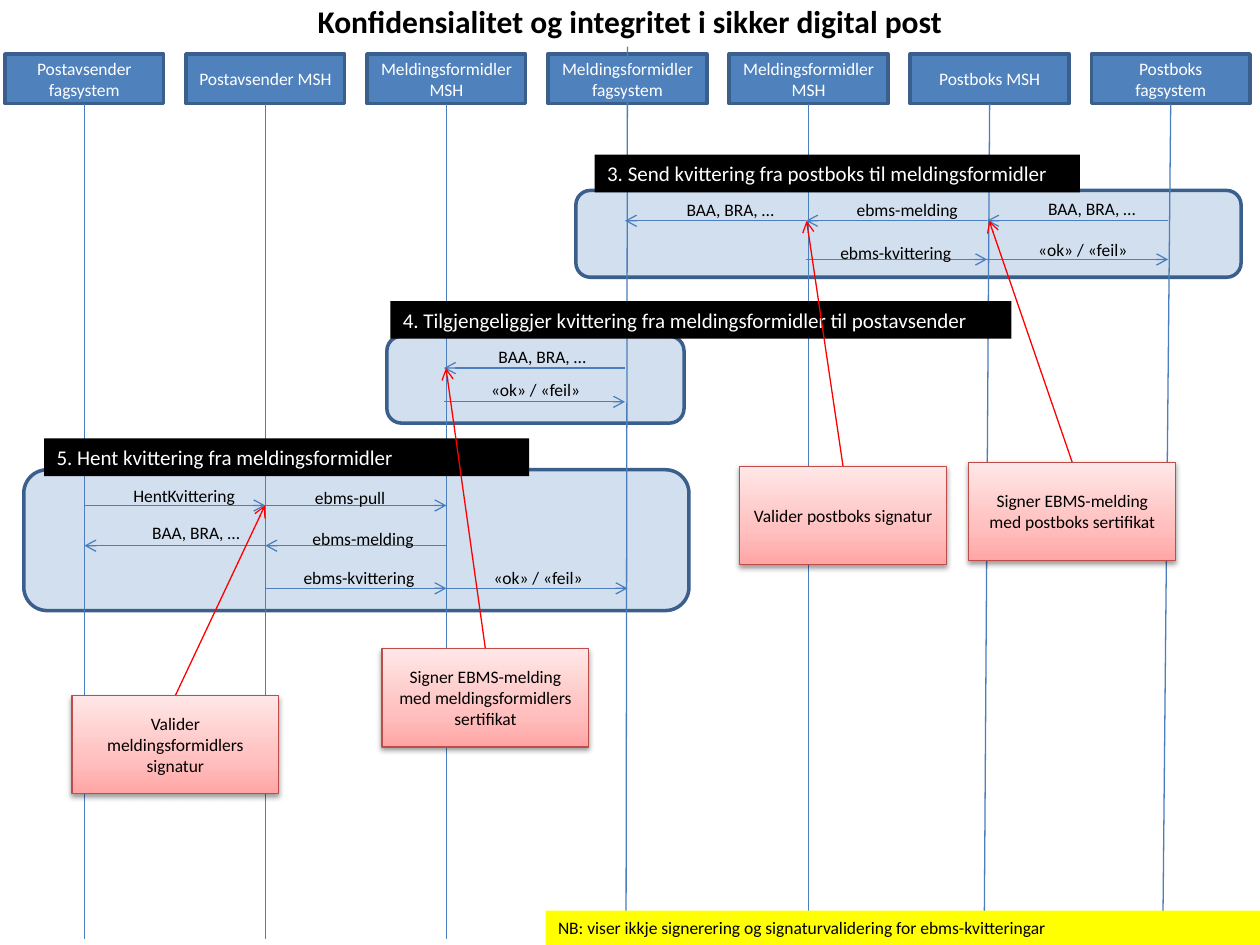
from copy import deepcopy

from lxml import etree
from pptx import Presentation
from pptx.dml.color import RGBColor
from pptx.enum import shapes, text
from pptx.oxml.ns import qn
from pptx.util import Cm, Pt

HUES = {
    "blue": "4F81BD", "edge": "3A5F8C", "line": "4B7EBC",
    "red": "FF0000", "rust": "BF4C48", "black": "000000",
    "white": "FFFFFF", "gold": "FFFF00",
    "deep": "FFA6A5", "rose": "FFC0BF", "pale": "FFE7E7",
}
RECT = shapes.MSO_SHAPE.RECTANGLE
ROUND = shapes.MSO_SHAPE.ROUNDED_RECTANGLE
LEFT, MID = text.PP_ALIGN.LEFT, text.PP_ALIGN.CENTER
TOP, CORE = text.MSO_ANCHOR.TOP, text.MSO_ANCHOR.MIDDLE

# Lanes: box text, drift of the line at its foot
STEP, FIRST = 3.65, 1.7
LANES = [
    ("Postavsender fagsystem", 0), ("Postavsender MSH", 0),
    ("Meldingsformidler MSH", 0), ("Meldingsformidler fagsystem", -0.03),
    ("Meldingsformidler MSH", 0), ("Postboks MSH", -0.11),
    ("Postboks fagsystem", -0.16),
]

# Label texts and the widths of their boxes
BAA, OK, PULL = "BAA, BRA, …", "«ok» / «feil»", "ebms-pull"
SEND, ACK, GET = "ebms-melding", "ebms-kvittering", "HentKvittering"
WIDE = {BAA: 2.31, OK: 2.34, PULL: 1.93, SEND: 2.57, ACK: 2.79, GET: 2.62}

# Phases: panel, heading with its place, shift of the arrows, and
# messages (from lane, to lane, arrow y, label, label x, label y)
PHASES = [
    ((0.48, 9.47, 13.41, 2.84),
     "5. Hent kvittering fra meldingsformidler", (0.89, 8.84, 9.78, 0.76), 0,
     [(0, 1, 10.19, GET, 2.44, 9.65), (1, 2, 10.19, PULL, 6.1, 9.7),
      (2, 1, 11, SEND, 6.05, 10.52), (1, 0, 11, BAA, 2.82, 10.39),
      (1, 2, 11.86, ACK, 5.87, 11.3), (2, 3, 11.86, OK, 9.7, 11.3)]),
    ((11.61, 3.84, 13.41, 1.75),
     "3. Send kvittering fra postboks til meldingsformidler",
     (11.99, 3.12, 9.78, 0.76), -0.05,
     [(6, 5, 4.45, BAA, 20.88, 3.86), (5, 4, 4.45, SEND, 17.02, 3.89),
      (4, 3, 4.45, BAA, 13.59, 3.89), (4, 5, 5.23, ACK, 16.69, 4.75),
      (5, 6, 5.23, OK, 20.68, 4.7)]),
    ((7.8, 6.78, 5.99, 1.75),
     "4. Tilgjengeliggjer kvittering fra meldingsformidler til postavsender",
     (7.87, 6.07, 12.52, 0.76), -0.05,
     [(3, 2, 7.42, BAA, 9.8, 6.86), (2, 3, 8.1, OK, 9.65, 7.52)]),
]

# Notes: text, left, top, point the arrow ends at
NOTES = [
    ("Signer EBMS-melding med meldingsformidlers sertifikat",
     7.7, 13.08, (8.99, 7.42)),
    ("Valider meldingsformidlers signatur", 1.45, 14.02, (5.34, 10.19)),
    ("Valider postboks signatur", 14.91, 9.4, (16.26, 4.45)),
    ("Signer EBMS-melding med postboks sertifikat",
     19.53, 9.32, (19.94, 4.45)),
]


def hue(name):
    return RGBColor.from_string(HUES[name])


def lane(i):
    return FIRST + i * STEP


class Sheet:
    font = "Calibri"

    def __init__(self, slide):
        self.slide = slide

    def label(self, shape, words, ink="black", size=10, bold=False,
              align=LEFT, anchor=TOP, wrap=True):
        frame = shape.text_frame
        frame.text = words
        look = {"word_wrap": wrap, "vertical_anchor": anchor,
                "auto_size": text.MSO_AUTO_SIZE.NONE}
        for key, val in look.items():
            setattr(frame, key, val)
        para = frame.paragraphs[0]
        para.alignment = align
        look = {"name": self.font, "size": Pt(size), "bold": bold}
        for key, val in look.items():
            setattr(para.runs[0].font, key, val)
        para.runs[0].font.color.rgb = hue(ink)

    def title(self, words, box):
        shape = self.slide.shapes.title
        for key, val in zip(("left", "top", "width", "height"), box):
            setattr(shape, key, Cm(val))
        self.label(shape, words, size=18, bold=True, align=MID)

    def block(self, box, fill, edge=None, width=2, form=RECT):
        shape = self.slide.shapes.add_shape(form, *map(Cm, box))
        shape.shadow.inherit = False
        shape.fill.solid()
        shape.fill.fore_color.rgb = hue(fill)
        if edge:
            shape.line.color.rgb = hue(edge)
            shape.line.width = Pt(width)
        else:
            shape.line.fill.background()
        return shape

    def panel(self, box):
        shape = self.block(box, "blue", "edge", form=ROUND)
        tint = shape.element.spPr.find(qn("a:solidFill"))[0]
        etree.SubElement(tint, qn("a:alpha"), val="25000")

    def caption(self, words, x, y):
        shape = self.slide.shapes.add_textbox(
            Cm(x), Cm(y), Cm(WIDE[words]), Cm(0.68))
        self.label(shape, words, wrap=False)

    def line(self, start, end, ink="line", arrow=True):
        link = self.slide.shapes.add_connector(
            shapes.MSO_CONNECTOR.STRAIGHT, *map(Cm, start + end))
        link.line.color.rgb = hue(ink)
        link.line.width = Pt(0.75)
        props = link.element.spPr
        if arrow:
            etree.SubElement(props.find(qn("a:ln")), qn("a:tailEnd"),
                             type="arrow")
        etree.SubElement(props, qn("a:effectLst"))

    def note(self, words, x, y, goal):
        wide, high = 4.17, 1.98
        self.line((x + wide / 2, y), goal, "red")
        shape = self.block((x, y, wide, high), "rose", "rust", 0.75)
        # Three-stop fill, dark at the foot
        shape.fill.gradient()
        shape.fill.gradient_angle = 90
        stops = shape.element.spPr.find(qn("a:gradFill")).find(qn("a:gsLst"))
        stops.insert(1, deepcopy(stops[0]))
        tints = (("deep", 0), ("rose", 0.35), ("pale", 1))
        for stop, (ink, spot) in zip(shape.fill.gradient_stops, tints):
            stop.color.rgb = hue(ink)
            stop.position = spot
        # Soft shadow below
        cast = etree.SubElement(
            shape.element.spPr.find(qn("a:effectLst")), qn("a:outerShdw"),
            blurRad="40000", dist="20000", dir="5400000", rotWithShape="0")
        tint = etree.SubElement(cast, qn("a:srgbClr"), val=HUES["black"])
        etree.SubElement(tint, qn("a:alpha"), val="38000")
        self.label(shape, words, align=MID, anchor=CORE)


def main():
    deck = Presentation()
    deck.slide_width, deck.slide_height = Cm(25.4), Cm(19.05)
    sheet = Sheet(deck.slides.add_slide(deck.slide_layouts[5]))
    sheet.title("Konfidensialitet og integritet i sikker digital post",
                (0, -0.08, 25.4, 1.02))

    # Panels behind the lanes
    for panel, *_ in PHASES:
        sheet.panel(panel)

    # Lane boxes, then their lines
    for i, (name, _) in enumerate(LANES):
        shape = sheet.block((lane(i) - 1.6, 1.09, 3.2, 1), "blue", "edge")
        sheet.label(shape, name, "white", align=MID, anchor=CORE)
    for i, (_, drift) in enumerate(LANES):
        top = 0.94 if i == 3 else 2.09
        sheet.line((lane(i), top), (lane(i) + drift, 18.92), arrow=False)

    # Messages and headings
    for _, head, box, shift, sent in PHASES:
        for a, b, y, words, x, top in sent:
            sheet.line((lane(a) + shift, y), (lane(b) + shift, y))
            sheet.caption(words, x, top)
        sheet.label(sheet.block(box, "black"), head, "white", 12)

    # Notes and footer
    for note in NOTES:
        sheet.note(*note)
    sheet.label(sheet.block((11, 18.36, 14.4, 0.69), "gold"),
                "NB: viser ikkje signerering og signaturvalidering "
                "for ebms-kvitteringar")
    deck.save("out.pptx")


if __name__ == "__main__":
    main()
